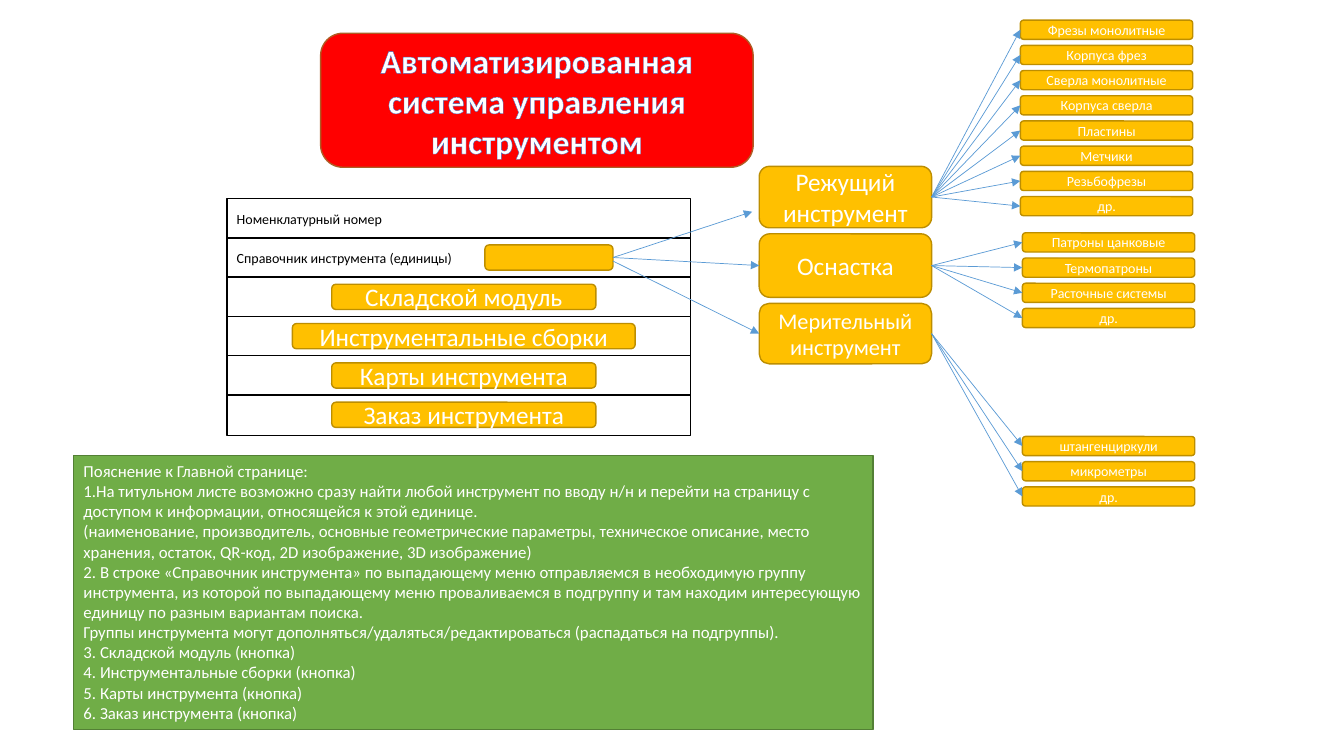
from lxml.etree import SubElement
from pptx import Presentation
from pptx.dml.color import RGBColor
from pptx.enum.shapes import MSO_CONNECTOR, MSO_SHAPE
from pptx.enum.text import MSO_ANCHOR, PP_ALIGN
from pptx.oxml.ns import qn
from pptx.util import Pt

SCALE = 9144  # EMU in one px, 100 px to the inch
RIGHT, LEFT = 3, 1  # connection sites


def px(length):
    return length * SCALE


def colour(value):
    return RGBColor.from_string(value)


class Sheet:
    font = "Calibri"
    white, black, gold, gold_edge = "FFFFFF", "000000", "FFC000", "BD8E00"
    arrow_blue, text_edge = "5B9BD5", "4472C4"

    def __init__(self, page):
        self.page = page

    def box(self, kind, place, fill, edge, text="", size=18, ink="FFFFFF",
            align=PP_ALIGN.CENTER, anchor=MSO_ANCHOR.MIDDLE, bold=False):
        shape = self.page.shapes.add_shape(kind, *map(px, place))
        shape.shadow.inherit = False
        shape.fill.solid()
        shape.fill.fore_color.rgb = colour(fill)
        shape.line.color.rgb = colour(edge)
        shape.line.width = Pt(1)
        frame = shape.text_frame
        frame.word_wrap = True
        frame.vertical_anchor = anchor
        if text:
            frame.text = text
        for paragraph in frame.paragraphs:
            paragraph.alignment = align
            for span in paragraph.runs:
                span.font.name = self.font
                span.font.size = Pt(size)
                span.font.bold = bold
                span.font.color.rgb = colour(ink)
        return shape

    def row(self, place, text):
        return self.box(MSO_SHAPE.RECTANGLE, place, self.white, self.black, text,
                        10, self.black, PP_ALIGN.LEFT)

    def button(self, place, text="", size=18):
        return self.box(MSO_SHAPE.ROUNDED_RECTANGLE, place, self.gold,
                        self.gold_edge, text, size)

    def title(self, place, text):
        shape = self.box(MSO_SHAPE.ROUNDED_RECTANGLE, place, "FF0000", "AF5C24",
                         text, 24, bold=True)
        for span in shape.text_frame.paragraphs[0].runs:
            properties = span.font._element
            outline = SubElement(properties, qn("a:ln"), w=str(Pt(0.8)))
            fill = SubElement(outline, qn("a:solidFill"))
            SubElement(fill, qn("a:srgbClr"), val=self.text_edge)
            properties.insert(0, outline)
        return shape

    def note(self, place, lines):
        return self.box(MSO_SHAPE.RECTANGLE, place, "70AD47", "538035",
                        "\n".join(lines), 12, align=PP_ALIGN.LEFT,
                        anchor=MSO_ANCHOR.TOP)

    def arrow(self, source, target):
        """Each end is a box to join or a free (x, y) point."""
        free = [end if isinstance(end, tuple) else (0, 0) for end in (source, target)]
        line = self.page.shapes.add_connector(
            MSO_CONNECTOR.STRAIGHT, *(px(value) for point in free for value in point))
        if not isinstance(source, tuple):
            line.begin_connect(source, RIGHT)
        if not isinstance(target, tuple):
            line.end_connect(target, LEFT)
        line.line.color.rgb = colour(self.arrow_blue)
        line.line.width = Pt(0.5)
        SubElement(line.line._get_or_add_ln(), qn("a:tailEnd"), type="triangle")
        SubElement(line._element.spPr, qn("a:effectLst"))


ROW_TOP, ROW_STEP, ROW_COUNT = 197, 39, 6
ROW_LABELS = ["Номенклатурный номер", "Справочник инструмента (единицы)"]
MODULES = [("Складской модуль", 262), ("Инструментальные сборки", 340),
           ("Карты инструмента", 262), ("Заказ инструмента", 262)]
MODULE_CENTRE = 460
LEAF_STEP = 25

# Group: name, top, height, text size, left and top of its items, items
GROUPS = [
    ("Режущий инструмент", 165, 61, 18, 1012, 20,
     ["Фрезы монолитные", "Корпуса фрез", "Сверла монолитные", "Корпуса сверла",
      "Пластины", "Метчики", "Резьбофрезы", "др."]),
    ("Оснастка", 232, 63, 18, 1014, 231,
     ["Патроны цанковые", "Термопатроны", "Расточные системы", "др."]),
    ("Мерительный инструмент", 301, 60, 16, 1014, 433,
     ["штангенциркули", "микрометры", "др."]),
]

NOTES = [
    "Пояснение к Главной странице:",
    "1.На титульном листе возможно сразу найти любой инструмент по вводу н/н и "
    "перейти на страницу с доступом к информации, относящейся к этой единице.",
    "(наименование, производитель, основные геометрические параметры, техническое "
    "описание, место хранения, остаток, QR-код, 2D изображение, 3D изображение)",
    "2. В строке «Справочник инструмента» по выпадающему меню отправляемся в "
    "необходимую группу инструмента, из которой по выпадающему меню проваливаемся "
    "в подгруппу и там находим интересующую единицу по разным вариантам поиска.",
    "Группы инструмента могут дополняться/удаляться/редактироваться "
    "(распадаться на подгруппы).",
    "3. Складской модуль (кнопка)",
    "4. Инструментальные сборки (кнопка)",
    "5. Карты инструмента (кнопка)",
    "6. Заказ инструмента (кнопка)",
]


def main():
    deck = Presentation()
    deck.slide_width, deck.slide_height = px(1333), px(750)
    sheet = Sheet(deck.slides.add_slide(deck.slide_layouts[6]))

    # Main page rows and the title
    row_tops = [ROW_TOP + ROW_STEP * index for index in range(ROW_COUNT)]
    for index, top in enumerate(row_tops):
        label = ROW_LABELS[index] if index < len(ROW_LABELS) else ""
        sheet.row((225, top, 460, 40), label)
    sheet.title((318, 33, 429, 133), "Автоматизированная система управления инструментом")

    # Module buttons inside the rows below the labelled ones
    for (name, width), top in zip(MODULES, row_tops[len(ROW_LABELS):]):
        sheet.button((MODULE_CENTRE - width // 2, top + 7, width, 25), name)

    # Tool groups, each fanning out to its items
    groups = []
    for name, top, height, size, leaf_left, leaf_top, items in GROUPS:
        group = sheet.button((753, top, 171, height), name, size)
        groups.append(group)
        for index, item in enumerate(items):
            place = (leaf_left, leaf_top + LEAF_STEP * index, 171, 19)
            sheet.arrow(group, sheet.button(place, item, 10))

    # Drop-down button leading to the groups
    menu = sheet.button((481, 243, 127, 25))
    sheet.arrow(menu, (746, 210))
    sheet.arrow(menu, groups[1])
    sheet.arrow((608, 259), groups[2])

    # Explanation
    sheet.note((73, 452, 793, 272), NOTES)
    deck.save("out.pptx")


if __name__ == "__main__":
    main()
